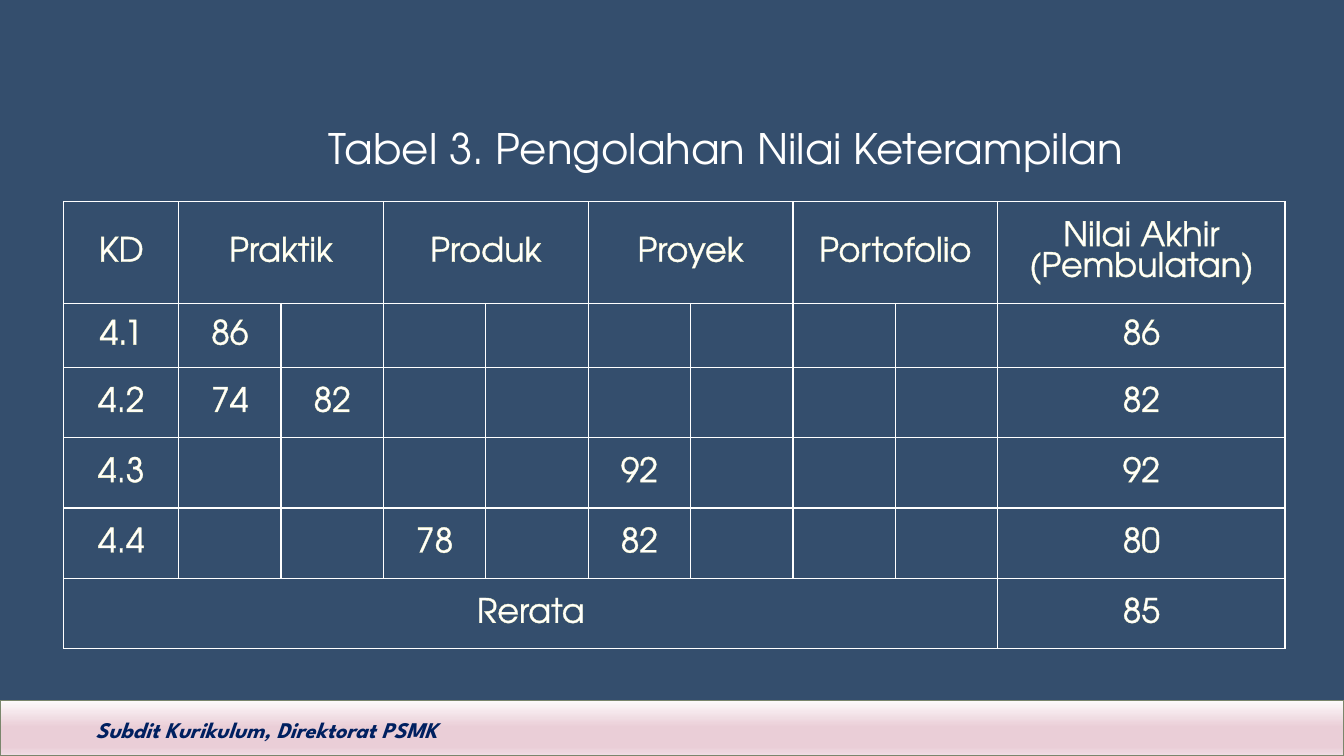
from lxml import etree
from pptx import Presentation
from pptx.dml.color import RGBColor
from pptx.enum.shapes import MSO_SHAPE
from pptx.enum.text import MSO_ANCHOR, PP_ALIGN
from pptx.oxml import parse_xml
from pptx.oxml.ns import nsdecls
from pptx.util import Pt

TITLE = "Tabel 3. Pengolahan Nilai Keterampilan"
FOOTER = "Subdit Kurikulum, Direktorat PSMK"
METHODS = ["Praktik", "Produk", "Proyek", "Portofolio"]
FINAL_HEADING = "Nilai Akhir\n(Pembulatan)"
# KD, scores by column number, final score
COMPETENCIES = [
    ("4.1", {1: "86"}, "86"),
    ("4.2", {1: "74", 2: "82"}, "82"),
    ("4.3", {5: "92"}, "92"),
    ("4.4", {3: "78", 5: "82"}, "80"),
]
AVERAGE = ("Rerata", "85")

FONT, FOOTER_FONT = "TeX Gyre Adventor", "League Spartan"
WHITE, CREAM, NAVY, BACKGROUND = "FFFFFF", "FEFAC9", "002060", "344E6D"
BAND_STOPS = [(0, "FDFAFB"), (48, "EACED7"), (84, "EACED7"), (100, "F1DEE5")]
BAND_LINE = "7A866C"

FINAL_COLUMN = 1 + 2 * len(METHODS)
COLUMN_WIDTHS = [82] + [73.15] * 2 * len(METHODS) + [205.2]
ROW_HEIGHTS = [72.7, 45.8] + [50.25] * 4
TABLE_LEFT, TABLE_TOP = 45.6, 144


def color(hex_code):
    return RGBColor.from_string(hex_code)


def line_xml(tag, hex_code, width):
    return parse_xml(
        f'<a:{tag} {nsdecls("a")} w="{int(Pt(width))}"><a:solidFill>'
        f'<a:srgbClr val="{hex_code}"/></a:solidFill></a:{tag}>')


def write(frame, text, size=24, font=FONT, ink=WHITE, bold=False, italic=False,
          align=PP_ALIGN.CENTER, outline=None, spacing=None):
    for number, content in enumerate(text.split("\n")):
        paragraph = frame.add_paragraph() if number else frame.paragraphs[0]
        paragraph.alignment = align
        if spacing:
            paragraph.line_spacing = Pt(spacing)
        run = paragraph.add_run()
        run.text = content
        run.font.size, run.font.name = Pt(size), font
        run.font.bold, run.font.italic = bold, italic
        run.font.color.rgb = color(ink)
        if outline:
            run.font._element.insert(0, line_xml("ln", outline, 0.75))


def add_text(slide, box, text, wrap=True, **style):
    frame = slide.shapes.add_textbox(*map(Pt, box)).text_frame
    frame.word_wrap = wrap
    frame.vertical_anchor = MSO_ANCHOR.MIDDLE
    write(frame, text, **style)


def add_band(slide):
    band = slide.shapes.add_shape(
        MSO_SHAPE.RECTANGLE, Pt(0), Pt(500.4), Pt(960), Pt(39.6))
    band.shadow.inherit = False
    band.line.color.rgb = color(BAND_LINE)
    band.line.width = Pt(1)
    band.fill.gradient()
    gradient = band._element.spPr.find("{*}gradFill")
    stops = "".join(f'<a:gs pos="{place * 1000}"><a:srgbClr val="{shade}"/></a:gs>'
                    for place, shade in BAND_STOPS)
    gradient.getparent().replace(gradient, parse_xml(
        f'<a:gradFill {nsdecls("a")} rotWithShape="1"><a:gsLst>{stops}</a:gsLst>'
        '<a:lin ang="5400000" scaled="0"/></a:gradFill>'))


def score_grid():
    """Return the table text by (row, column)."""
    grid = {(0, 0): "KD", (0, FINAL_COLUMN): FINAL_HEADING}
    for number, method in enumerate(METHODS):
        grid[0, 1 + 2 * number] = method
    for row, (code, scores, final) in enumerate(COMPETENCIES, 1):
        for column, score in {0: code, **scores, FINAL_COLUMN: final}.items():
            grid[row, column] = score
    last = len(COMPETENCIES) + 1
    grid[last, 0], grid[last, FINAL_COLUMN] = AVERAGE
    return grid


def style_cell(cell):
    cell.fill.background()
    cell.vertical_anchor = MSO_ANCHOR.MIDDLE
    cell.margin_left = cell.margin_right = Pt(7.2)
    cell.margin_top = cell.margin_bottom = Pt(0)
    properties = cell._tc.get_or_add_tcPr()
    for place, side in enumerate(["lnL", "lnR", "lnT", "lnB"]):
        properties.insert(place, line_xml(side, WHITE, 1))


def add_score_table(slide):
    table = slide.shapes.add_table(
        len(ROW_HEIGHTS), len(COLUMN_WIDTHS), Pt(TABLE_LEFT), Pt(TABLE_TOP),
        Pt(sum(COLUMN_WIDTHS)), Pt(sum(ROW_HEIGHTS))).table
    table.first_row = table.horz_banding = False
    for column, width in zip(table.columns, COLUMN_WIDTHS):
        column.width = Pt(width)
    for row, height in zip(table.rows, ROW_HEIGHTS):
        row.height = Pt(height)
    for cell in table.iter_cells():
        style_cell(cell)

    for first in range(1, FINAL_COLUMN, 2):
        table.cell(0, first).merge(table.cell(0, first + 1))
    last = len(ROW_HEIGHTS) - 1
    table.cell(last, 0).merge(table.cell(last, FINAL_COLUMN - 1))
    for place, text in score_grid().items():
        write(table.cell(*place).text_frame, text, outline=CREAM,
              spacing=22 if "\n" in text else None)


def main():
    deck = Presentation()
    deck.slide_width, deck.slide_height = Pt(960), Pt(540)
    slide = deck.slides.add_slide(deck.slide_layouts[6])
    slide.background.fill.solid()
    slide.background.fill.fore_color.rgb = color(BACKGROUND)
    add_band(slide)
    add_text(slide, (61.2, 507.6, 275.8, 26.6), FOOTER, wrap=False, size=16,
             font=FOOTER_FONT, ink=NAVY, bold=True, italic=True,
             align=PP_ALIGN.LEFT)
    add_score_table(slide)
    add_text(slide, (162.7, 83.5, 712, 44), TITLE, size=30)
    deck.save("out.pptx")


if __name__ == "__main__":
    main()
